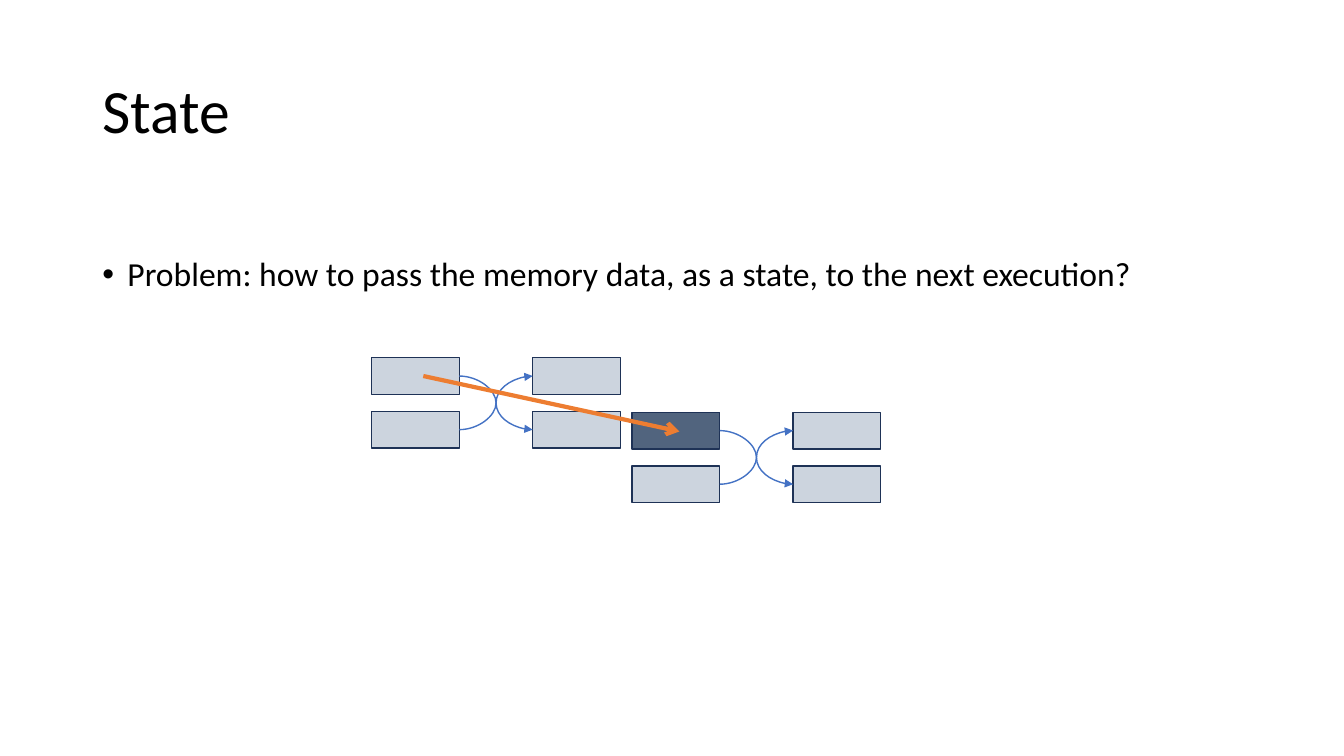
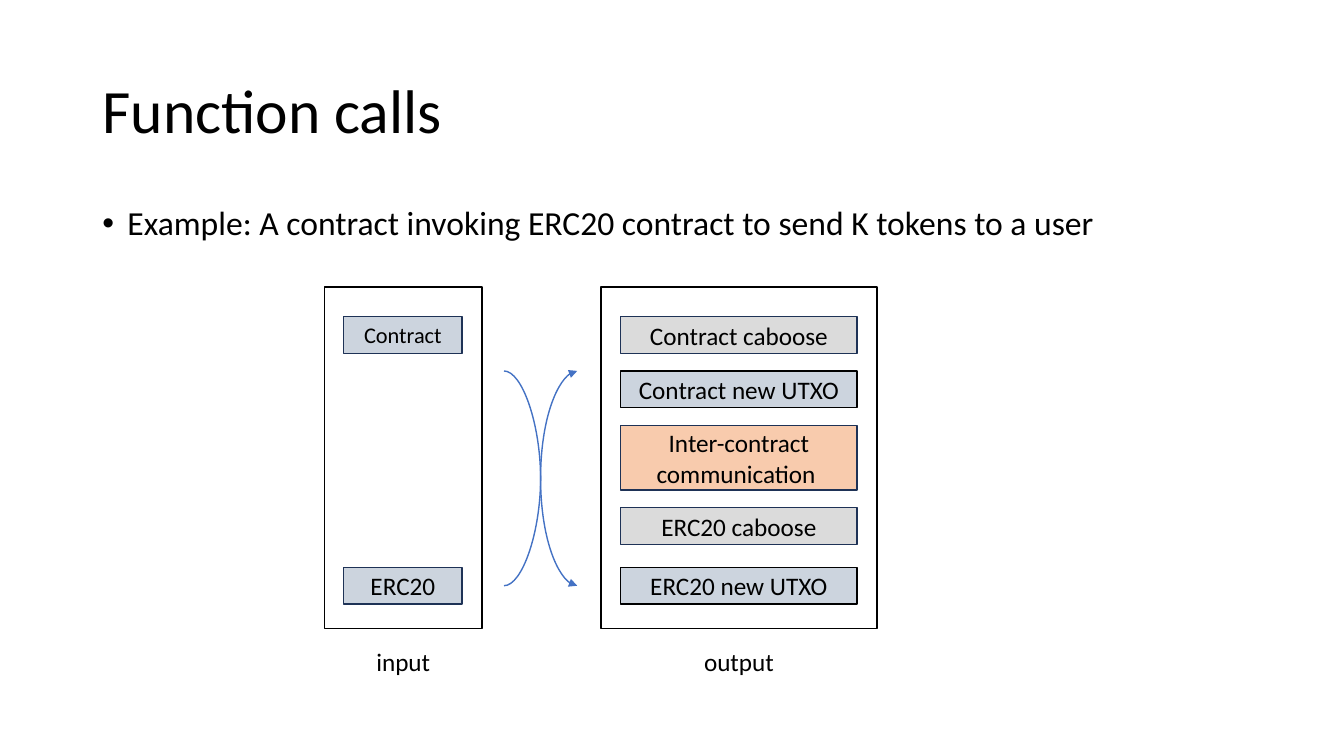
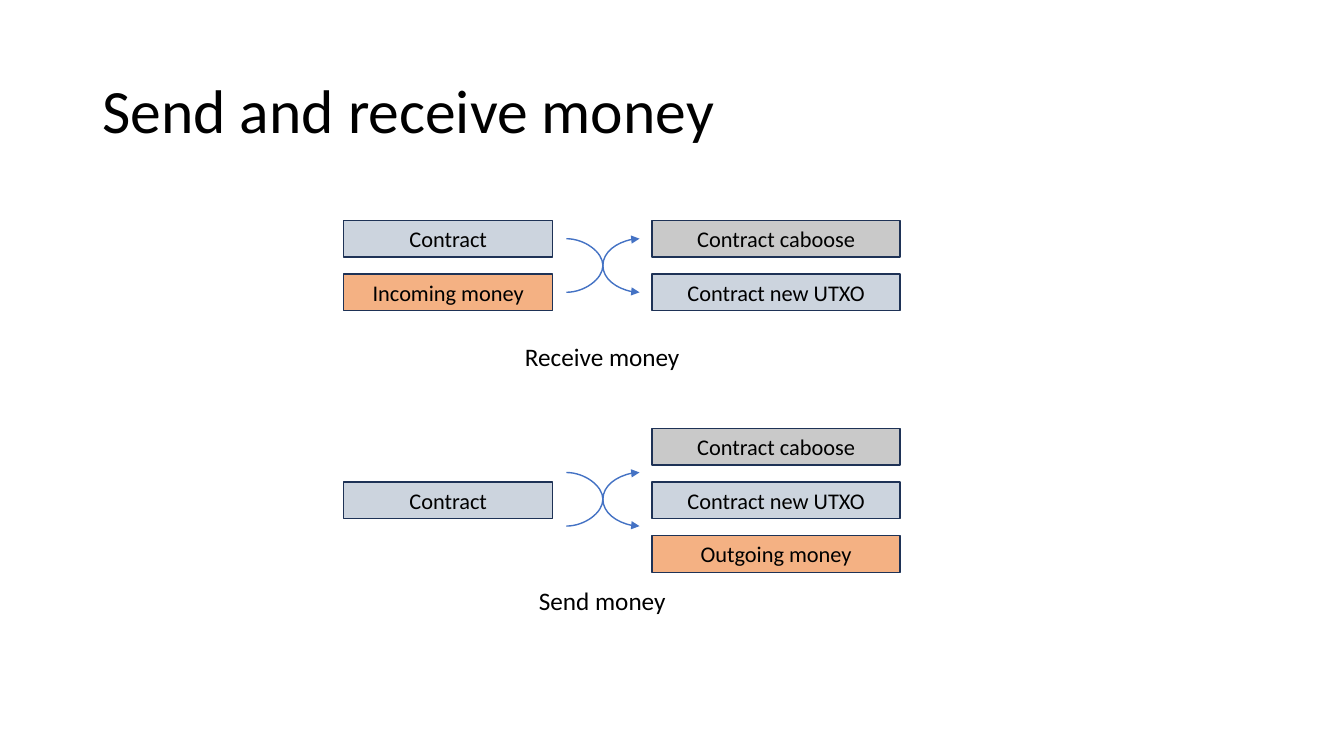
from dataclasses import dataclass

from lxml import etree
from pptx import Presentation
from pptx.dml.color import RGBColor
from pptx.enum.shapes import MSO_CONNECTOR, MSO_SHAPE
from pptx.enum.text import MSO_ANCHOR, PP_ALIGN
from pptx.oxml.ns import qn
from pptx.shapes.autoshape import Shape
from pptx.shapes.connector import Connector
from pptx.slide import Slide
from pptx.util import Pt

RECT = MSO_SHAPE.RECTANGLE
CURVE, STRAIGHT = MSO_CONNECTOR.CURVE, MSO_CONNECTOR.STRAIGHT
LEFT, CENTER = PP_ALIGN.LEFT, PP_ALIGN.CENTER
TOP, MIDDLE = MSO_ANCHOR.TOP, MSO_ANCHOR.MIDDLE
LEFT_SIDE, RIGHT_SIDE = 1, 3

FONT = "Calibri"
COLORS = {
    "text": "000000",
    "navy": "1E3256",
    "utxo": "CCD4DE",
    "state": "51647E",
    "caboose": "DBDBDB",
    "dark_caboose": "C9C9C9",
    "message": "F8CBAD",
    "money": "F4B183",
    "flow": "4472C4",
    "transfer": "ED7D31",
}
MARGIN, CONTENT_W = 66, 828
BOX_H = 26.2
ROW_STEP = 38.3
CROSS_W = 52.3
LABEL_H = 29


@dataclass(frozen=True)
class Box:
    left: float
    top: float
    width: float
    fill: str | None = "utxo"
    text: str = ""
    size: float = 16
    height: float = BOX_H
    outline: str = "navy"


@dataclass(frozen=True)
class Label:
    center: float
    top: float
    text: str
    width: float = 159


def rgb(name: str) -> RGBColor:
    return RGBColor.from_string(COLORS[name])


def write(shape: Shape, text: str, size: float, align: PP_ALIGN, anchor: MSO_ANCHOR) -> None:
    frame = shape.text_frame
    frame.word_wrap = True
    frame.vertical_anchor = anchor
    frame.text = text
    paragraph = frame.paragraphs[0]
    paragraph.alignment = align
    for run in paragraph.runs:
        run.font.name = FONT
        run.font.size = Pt(size)
        run.font.color.rgb = rgb("text")


def add_titled_slide(prs: Presentation, title: str) -> Slide:
    slide = prs.slides.add_slide(prs.slide_layouts[5])
    heading = slide.shapes.title
    heading.left, heading.top = Pt(MARGIN), Pt(28.75)
    heading.width, heading.height = Pt(CONTENT_W), Pt(104.4)
    write(heading, title, 44, LEFT, MIDDLE)
    heading.text_frame.paragraphs[0].line_spacing = 0.9
    return slide


def add_bullet(slide: Slide, text: str, top: float, height: float) -> None:
    body = slide.shapes.add_textbox(Pt(MARGIN), Pt(top), Pt(CONTENT_W), Pt(height))
    write(body, text, 24, LEFT, TOP)
    paragraph = body.text_frame.paragraphs[0]
    paragraph.line_spacing = 0.9
    paragraph.space_before = Pt(10)
    props = paragraph.runs[0].font and body.element.find(".//" + qn("a:pPr"))
    props.set("marL", str(Pt(18)))
    props.set("indent", str(-Pt(18)))
    etree.SubElement(props, qn("a:buFont")).set("typeface", "Arial")
    etree.SubElement(props, qn("a:buChar")).set("char", "•")


def add_box(slide: Slide, box: Box) -> Shape:
    shape = slide.shapes.add_shape(
        RECT, Pt(box.left), Pt(box.top), Pt(box.width), Pt(box.height)
    )
    shape.shadow.inherit = False
    if box.fill:
        shape.fill.solid()
        shape.fill.fore_color.rgb = rgb(box.fill)
    else:
        shape.fill.background()
    shape.line.color.rgb = rgb(box.outline)
    shape.line.width = Pt(1)
    if box.text:
        write(shape, box.text, box.size, CENTER, MIDDLE)
    return shape


def add_label(slide: Slide, label: Label) -> None:
    caption = slide.shapes.add_textbox(
        Pt(label.center - label.width / 2), Pt(label.top), Pt(label.width), Pt(LABEL_H)
    )
    write(caption, label.text, 18, CENTER, TOP)


def add_arrow(
    slide: Slide,
    kind: MSO_CONNECTOR,
    start: tuple[float, float],
    end: tuple[float, float],
    color: str = "flow",
    weight: float = 1,
    head: str = "triangle",
) -> Connector:
    arrow = slide.shapes.add_connector(kind, *(Pt(v) for v in (*start, *end)))
    arrow.line.color.rgb = rgb(color)
    arrow.line.width = Pt(weight)
    props = arrow.element.spPr
    etree.SubElement(props.find(qn("a:ln")), qn("a:tailEnd")).set("type", head)
    etree.SubElement(props, qn("a:effectLst"))
    return arrow


def add_crossing(
    slide: Slide, left: float, top: float, height: float = ROW_STEP
) -> list[Connector]:
    """Draw two curved arrows that swap the upper and the lower row."""
    right, bottom = left + CROSS_W, top + height
    return [
        add_arrow(slide, CURVE, (left, y1), (right, y2))
        for y1, y2 in ((top, bottom), (bottom, top))
    ]


def add_transaction(slide: Slide, left: float, top: float, first_fill: str) -> None:
    """Draw two inputs crossing over to two outputs."""
    width = 62.7
    rows = (top, top + ROW_STEP)
    output_left = left + width + CROSS_W
    inputs = [
        add_box(slide, Box(left, y, width, fill)) for y, fill in zip(rows, (first_fill, "utxo"))
    ]
    outputs = [add_box(slide, Box(output_left, y, width)) for y in rows]
    crossing = add_crossing(slide, left + width, top + BOX_H / 2)
    for arrow, source, target in zip(crossing, inputs, reversed(outputs)):
        arrow.begin_connect(source, RIGHT_SIDE)
        arrow.end_connect(target, LEFT_SIDE)


def build_state(prs: Presentation) -> None:
    slide = add_titled_slide(prs, "State")
    add_bullet(
        slide,
        "Problem: how to pass the memory data, as a state, to the next execution?",
        180.7,
        244.8,
    )
    add_transaction(slide, 451.5, 294.5, "state")
    add_transaction(slide, 265.5, 255.5, "utxo")
    add_arrow(slide, STRAIGHT, (302.4, 268.6), (485.3, 308.2), "transfer", 3, "arrow")


def build_function_calls(prs: Presentation) -> None:
    slide = add_titled_slide(prs, "Function calls")
    add_bullet(
        slide,
        "Example: A contract invoking ERC20 contract to send K tokens to a user",
        144,
        342.7,
    )
    first_row, last_row = 226.2, 405.3
    input_x, input_w = 245.5, 84.5
    output_x, output_w = 443.3, 169
    boxes = (
        Box(input_x, first_row, input_w, text="Contract"),
        Box(input_x, last_row, input_w, text="ERC20", size=18),
        Box(output_x, first_row, output_w, "caboose", "Contract caboose", 18),
        Box(output_x, 265, output_w, "utxo", "Contract new UTXO", 18, outline="text"),
        Box(output_x, 304, output_w, "message", "Inter-contract communication ", 18, 46),
        Box(output_x, 362.6, output_w, "caboose", "ERC20 caboose", 18),
        Box(output_x, last_row, output_w, "utxo", "ERC20 new UTXO", 18, outline="text"),
    )
    for box in boxes:
        add_box(slide, box)
    add_crossing(slide, 360, 265, 153.4)
    for name, left, width in (("input", 231.7, 112.7), ("output", 429.2, 197.3)):
        add_box(slide, Box(left, 205, width, None, height=244, outline="text"))
        add_label(slide, Label(left + width / 2, 458, name, 100.8))


def build_money(prs: Presentation) -> None:
    slide = add_titled_slide(prs, "Send and receive money")
    input_x, input_w = 245.5, 149.3
    output_x, output_w = 465.8, 177.2
    receive_top, send_top = 157.5, 306
    contract = ("utxo", "Contract")
    renewed = (("dark_caboose", "Contract caboose"), ("utxo", "Contract new UTXO"))
    columns = (
        (input_x, input_w, receive_top, (contract, ("money", "Incoming money"))),
        (output_x, output_w, receive_top, renewed),
        (input_x, input_w, send_top + ROW_STEP, (contract,)),
        (output_x, output_w, send_top, (*renewed, ("money", "Outgoing money"))),
    )
    for left, width, top, entries in columns:
        for row, (fill, text) in enumerate(entries):
            add_box(slide, Box(left, top + row * ROW_STEP, width, fill, text))
    for top in (170.5, 337.5):
        add_crossing(slide, 404.5, top)
    add_label(slide, Label(430.2, 240.5, "Receive money"))
    add_label(slide, Label(430.2, 414.7, "Send money"))


def main() -> None:
    prs = Presentation()
    prs.slide_width, prs.slide_height = Pt(960), Pt(540)
    build_state(prs)
    build_function_calls(prs)
    build_money(prs)
    prs.save("out.pptx")


if __name__ == "__main__":
    main()
